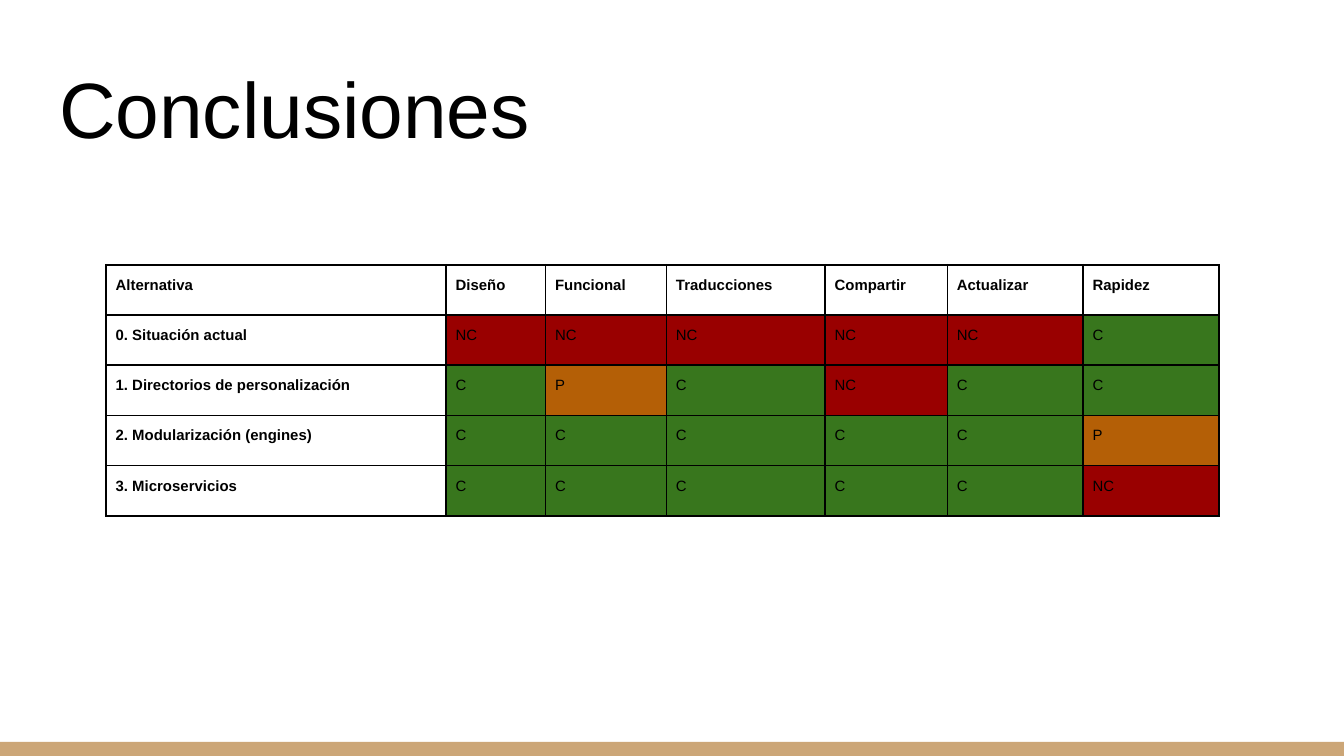
from lxml import etree
from pptx import Presentation
from pptx.dml.color import RGBColor
from pptx.enum.shapes import MSO_SHAPE
from pptx.enum.text import MSO_ANCHOR, MSO_AUTO_SIZE, PP_ALIGN
from pptx.oxml.ns import qn
from pptx.util import Inches, Pt

RECT = MSO_SHAPE.RECTANGLE
TOP, BOTTOM = MSO_ANCHOR.TOP, MSO_ANCHOR.BOTTOM
FIXED = MSO_AUTO_SIZE.NONE
LEFT = PP_ALIGN.LEFT
FONT = "Arial"
WIDE, HIGH = 10, 10 * 9 / 16
COLORS = {"ink": "000000", "bar": "CCA677",
          "NC": "990000", "P": "B45F06", "C": "38761D"}

HEADS = ["Alternativa", "Diseño", "Funcional", "Traducciones",
         "Compartir", "Actualizar", "Rapidez"]
GRADES = {
    "0. Situación actual": "NC NC NC NC NC C",
    "1. Directorios de personalización": "C P C NC C C",
    "2. Modularización (engines)": "C C C C C P",
    "3. Microservicios": "C C C C C NC",
}
WIDTHS = [2.53, 0.74, 0.9, 1.18, 0.91, 1.01, 1.01]


def color(name):
    return RGBColor.from_string(COLORS[name])


def write(frame, text, size, bold=False, space=1.0):
    """Put one formatted line of text in a frame."""
    para = frame.paragraphs[0]
    para.alignment = LEFT
    para.line_spacing = space
    run = para.add_run()
    run.text = text
    font = run.font
    font.name, font.size, font.bold = FONT, Pt(size), bold
    font.color.rgb = color("ink")


def add_title(slide, text, x, y, w, h):
    title = slide.shapes.title
    title.left, title.top = Inches(x), Inches(y)
    title.width, title.height = Inches(w), Inches(h)
    frame = title.text_frame
    frame.auto_size = FIXED
    frame.word_wrap = True
    frame.vertical_anchor = BOTTOM
    frame.margin_left = frame.margin_right = Inches(0.1)
    frame.margin_top = frame.margin_bottom = Inches(0.1)
    write(frame, text, 42)


def add_bar(slide, x, y, w, h):
    bar = slide.shapes.add_shape(RECT, Inches(x), Inches(y), Inches(w), Inches(h))
    bar.shadow.inherit = False
    bar.fill.solid()
    bar.fill.fore_color.rgb = color("bar")
    bar.line.fill.background()


def add_edges(cell, width=1):
    """Draw a line on all four sides of a cell."""
    props = cell._tc.get_or_add_tcPr()
    for side in ("lnL", "lnR", "lnT", "lnB"):
        line = etree.SubElement(props, qn(f"a:{side}"), w=str(Pt(width)))
        fill = etree.SubElement(line, qn("a:solidFill"))
        etree.SubElement(fill, qn("a:srgbClr"), val=COLORS["ink"])


def fill_cell(cell, text, label):
    """Format a label cell, or a grade cell in the colour of its grade."""
    cell.margin_left = cell.margin_right = Inches(0.07)
    cell.margin_top = cell.margin_bottom = Inches(0.07)
    cell.vertical_anchor = TOP
    add_edges(cell)
    if label:
        cell.fill.background()
    else:
        cell.fill.solid()
        cell.fill.fore_color.rgb = color(text)
    write(cell.text_frame, text, 8, bold=label, space=1.15)


def add_grades(slide, x, y, w, h):
    rows = [HEADS] + [[name, *marks.split()] for name, marks in GRADES.items()]
    table = slide.shapes.add_table(len(rows), len(HEADS), Inches(x), Inches(y),
                                   Inches(w), Inches(h)).table
    table.first_row = table.horz_banding = False
    for col, width in zip(table.columns, WIDTHS):
        col.width = Inches(width)
    for r, row in enumerate(rows):
        for c, text in enumerate(row):
            fill_cell(table.cell(r, c), text, label=r == 0 or c == 0)


def main():
    deck = Presentation()
    deck.slide_width, deck.slide_height = Inches(WIDE), Inches(HIGH)
    slide = deck.slides.add_slide(deck.slide_layouts[5])
    add_bar(slide, 0, 5.52, WIDE, HIGH - 5.52)
    add_title(slide, "Conclusiones", 0.34, 0.35, 9.32, 0.9)
    add_grades(slide, 0.79, 1.97, sum(WIDTHS), 1.87)
    deck.save("out.pptx")


if __name__ == "__main__":
    main()
